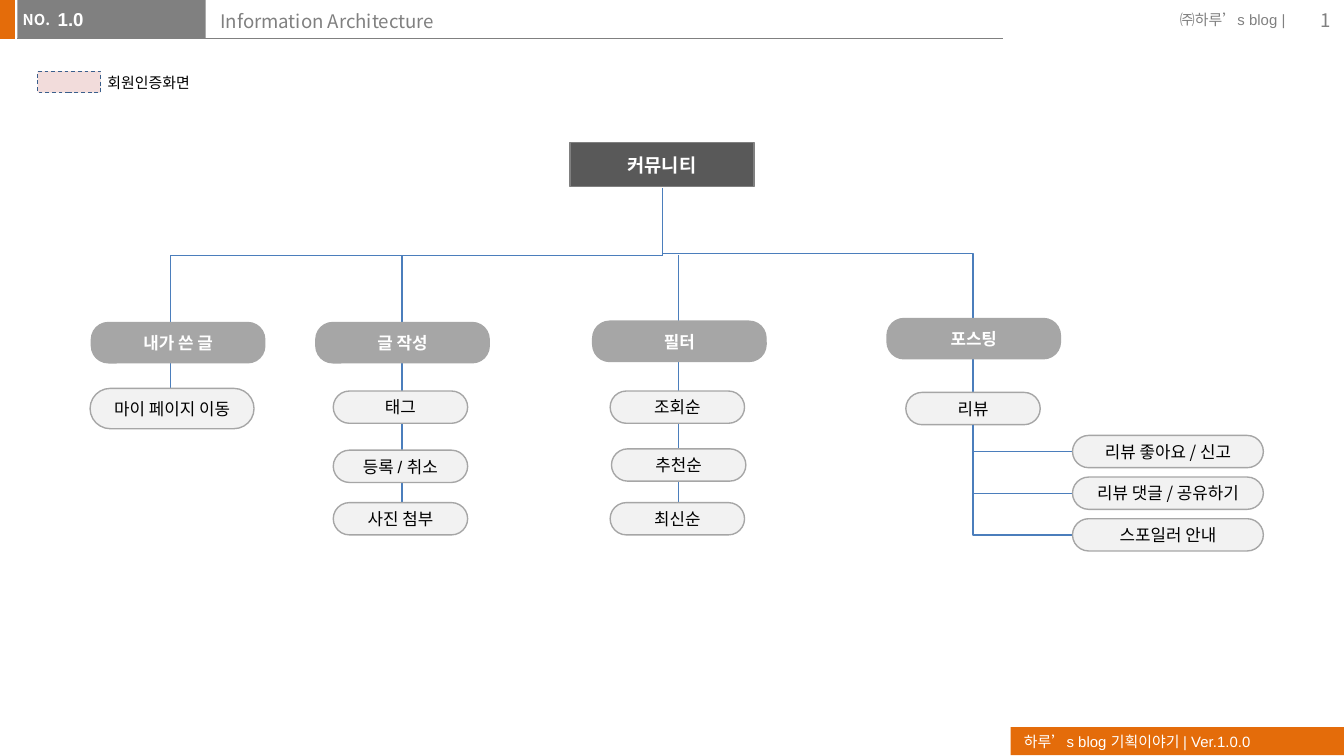
from dataclasses import dataclass

from lxml import etree
from pptx import Presentation
from pptx.dml.color import RGBColor
from pptx.enum.dml import MSO_LINE
from pptx.enum.shapes import MSO_CONNECTOR, MSO_SHAPE
from pptx.enum.text import MSO_ANCHOR, MSO_AUTO_SIZE, PP_ALIGN
from pptx.oxml.ns import qn
from pptx.util import Inches, Pt

RECT, ROUND = MSO_SHAPE.RECTANGLE, MSO_SHAPE.ROUNDED_RECTANGLE
STRAIGHT, ELBOW = MSO_CONNECTOR.STRAIGHT, MSO_CONNECTOR.ELBOW
TOP, MIDDLE = MSO_ANCHOR.TOP, MSO_ANCHOR.MIDDLE
LEFT, CENTER, RIGHT = PP_ALIGN.LEFT, PP_ALIGN.CENTER, PP_ALIGN.RIGHT
ARIAL, NOTO = "Arial", "Noto Sans CJK KR"

WHITE = RGBColor(0xFF, 0xFF, 0xFF)
BLACK = RGBColor(0x00, 0x00, 0x00)
ORANGE = RGBColor(0xE4, 0x6C, 0x0A)
GRAY = RGBColor(0x80, 0x80, 0x80)
DARK = RGBColor(0x59, 0x59, 0x59)
SILVER = RGBColor(0xA6, 0xA6, 0xA6)
PALE = RGBColor(0xF2, 0xF2, 0xF2)
PINK = RGBColor(0xF2, 0xDC, 0xDB)
NAVY = RGBColor(0x3A, 0x5F, 0x8C)
BLUE = RGBColor(0x4B, 0x7E, 0xBC)

ROOT_X, ROOT_BOTTOM, BRANCH_Y = 4.93, 1.4, 1.9
HEAD_WIDTH, HEAD_HEIGHT = 1.29, 0.3
LEAF_HEIGHT = 0.24


@dataclass
class Leaf:
    text: str
    left: float
    top: float
    width: float = 1.0
    height: float = LEAF_HEIGHT


@dataclass
class Branch:
    title: str
    left: float
    top: float
    stem_x: float
    stem_top: float
    leaves: list[Leaf]
    font: str = ARIAL


BRANCHES = [
    Branch("내가 쓴 글", 0.68, 2.4, 1.27, BRANCH_Y,
           [Leaf("마이 페이지 이동", 0.67, 2.89, 1.22, 0.3)]),
    Branch("글 작성", 2.35, 2.4, 2.99, 2.7,
           [Leaf("태그", 2.48, 2.91), Leaf("등록 / 취소", 2.48, 3.35),
            Leaf("사진 첨부", 2.48, 3.74)]),
    Branch("필터", 4.41, 2.39, 5.05, BRANCH_Y,
           [Leaf("조회순", 4.54, 2.91), Leaf("추천순", 4.55, 3.34),
            Leaf("최신순", 4.54, 3.74)]),
    Branch("포스팅", 6.6, 2.37, 7.24, 2.67, [Leaf("리뷰", 6.74, 2.92)], NOTO),
]
REVIEW_ITEMS = ["리뷰 좋아요 / 신고", "리뷰 댓글 / 공유하기", "스포일러 안내"]

deck = Presentation()
deck.slide_width = Inches(10)
deck.slide_height = deck.slide_width * 9 // 16
page = deck.slides.add_slide(deck.slide_layouts[5])


def write(shape, text: str, size: float, font: str, color: RGBColor,
          bold: bool = False, align=LEFT, anchor=TOP, wrap: bool = True,
          before: float = 0, hangul: bool = True) -> None:
    frame = shape.text_frame
    frame.word_wrap = wrap
    frame.auto_size = MSO_AUTO_SIZE.NONE
    frame.vertical_anchor = anchor
    para = frame.paragraphs[0]
    para.text = text
    para.alignment = align
    para.space_before = Pt(before)
    para.font.size, para.font.name, para.font.bold = Pt(size), font, bold
    para.font.color.rgb = color
    if hangul:
        latin = para._p.pPr.find(qn("a:defRPr")).find(qn("a:latin"))
        east_asian = etree.Element(qn("a:ea"))
        east_asian.set("typeface", NOTO)
        latin.addnext(east_asian)


def set_margins(shape, side: float, upright: float) -> None:
    frame = shape.text_frame
    frame.margin_left = frame.margin_right = Inches(side)
    frame.margin_top = frame.margin_bottom = Inches(upright)


def add_box(kind, left: float, top: float, width: float, height: float,
            fill: RGBColor, line: RGBColor | None = None, weight: float = 0.75):
    box = page.shapes.add_shape(kind, Inches(left), Inches(top),
                                Inches(width), Inches(height))
    box.shadow.inherit = False
    box.fill.solid()
    box.fill.fore_color.rgb = fill
    if line is None:
        box.line.fill.background()
    else:
        box.line.color.rgb = line
        box.line.width = Pt(weight)
    return box


def add_label(left: float, top: float, width: float, height: float, text: str,
              size: float, font: str, color: RGBColor, **options):
    label = page.shapes.add_textbox(Inches(left), Inches(top),
                                    Inches(width), Inches(height))
    write(label, text, size, font, color, **options)
    return label


def add_line(x1: float, y1: float, x2: float, y2: float, kind=STRAIGHT,
             color: RGBColor = BLUE, weight: float = 0.75):
    line = page.shapes.add_connector(kind, Inches(x1), Inches(y1),
                                     Inches(x2), Inches(y2))
    line.line.color.rgb = color
    line.line.width = Pt(weight)
    etree.SubElement(line._element.spPr, qn("a:effectLst"))
    return line


def add_elbow(x1: float, y1: float, x2: float, y2: float,
              preset: str = "bentConnector3") -> None:
    """Bent line that leaves its start downwards."""
    across, down = abs(x2 - x1), y2 - y1
    left, top = (x1 + x2 - down) / 2, (y1 + y2 - across) / 2
    line = add_line(left, top, left + down, top + across, ELBOW)
    frame = line._element.spPr.find(qn("a:xfrm"))
    if x2 < x1:
        frame.set("rot", "5400000")
    else:
        frame.set("rot", "16200000")
        frame.set("flipH", "1")
    line._element.spPr.find(qn("a:prstGeom")).set("prst", preset)


def add_node(kind, left: float, top: float, width: float, height: float,
             text: str, fill: RGBColor, line: RGBColor, color: RGBColor,
             size: float = 9, font: str = ARIAL, bold: bool = False,
             roundness: float = 0.5) -> None:
    node = add_box(kind, left, top, width, height, fill, line)
    if kind == ROUND:
        node.adjustments[0] = roundness
    set_margins(node, 0.02, 0.02)
    write(node, text, size, font, color, bold, CENTER, MIDDLE, before=1)


def add_leaf(leaf: Leaf, font: str) -> None:
    add_node(ROUND, leaf.left, leaf.top, leaf.width, leaf.height, leaf.text,
             PALE, SILVER, BLACK, font=font)


# Header and footer
add_box(RECT, -0.01, 0, 0.12, 0.29, ORANGE)
footer = add_box(RECT, 7.52, 5.41, 2.48, 0.21, ORANGE)
write(footer, "하루’s blog 기획이야기 | Ver.1.0.0", 8, ARIAL, WHITE, anchor=MIDDLE,
      hangul=False)
add_line(0.13, 0.29, 7.46, 0.29, color=GRAY, weight=0.5)
add_box(RECT, 0.13, 0, 1.4, 0.29, GRAY)
add_label(0.07, 0.03, 0.41, 0.24, "NO.", 8, NOTO, WHITE, bold=True, wrap=False)
add_label(8.68, 0.03, 0.95, 0.24, "㈜하루’s blog |", 8, ARIAL, GRAY, wrap=False,
          hangul=False)
add_label(9.4, 0, 0.6, 0.3, "1", 10, NOTO, GRAY, align=RIGHT, anchor=MIDDLE)
number = add_label(0.43, 0.01, 1.1, 0.31, "1.0", 10, ARIAL, WHITE, bold=True,
                   before=2)
set_margins(number, 0, 0.05)

title = page.shapes.title
title.left, title.top = Inches(1.54), Inches(0.02)
title.width, title.height = Inches(5.91), Inches(0.32)
write(title, "Information Architecture", 10, NOTO, GRAY)

# Legend
legend = add_box(RECT, 0.28, 0.53, 0.47, 0.16, PINK, NAVY, 0.5)
legend.line.dash_style = MSO_LINE.DASH
add_label(0.7, 0.5, 0.91, 0.24, "회원인증화면", 8, NOTO, BLACK, wrap=False)

# Lines from the root
mine, writing, _, posting = BRANCHES
add_elbow(ROOT_X, ROOT_BOTTOM, mine.stem_x, BRANCH_Y, "bentConnector2")
for branch in (writing, posting):
    add_elbow(ROOT_X, ROOT_BOTTOM, branch.stem_x, branch.top)
add_node(RECT, 4.24, 1.06, 1.37, 0.33, "커뮤니티", DARK, GRAY, WHITE, 10,
         bold=True)

# Branches
for branch in BRANCHES:
    add_line(branch.stem_x, branch.stem_top, branch.stem_x, branch.leaves[-1].top)
    add_node(ROUND, branch.left, branch.top, HEAD_WIDTH, HEAD_HEIGHT,
             branch.title, SILVER, SILVER, WHITE, font=branch.font, bold=True,
             roundness=0.42)
    for leaf in branch.leaves:
        add_leaf(leaf, branch.font)

# Review items
for index, text in enumerate(REVIEW_ITEMS):
    item = Leaf(text, 7.98, 3.24 + 0.31 * index, 1.42)
    add_elbow(posting.stem_x, 3.16, item.left, item.top + LEAF_HEIGHT / 2,
              "bentConnector2")
    add_leaf(item, NOTO)

deck.save("out.pptx")
